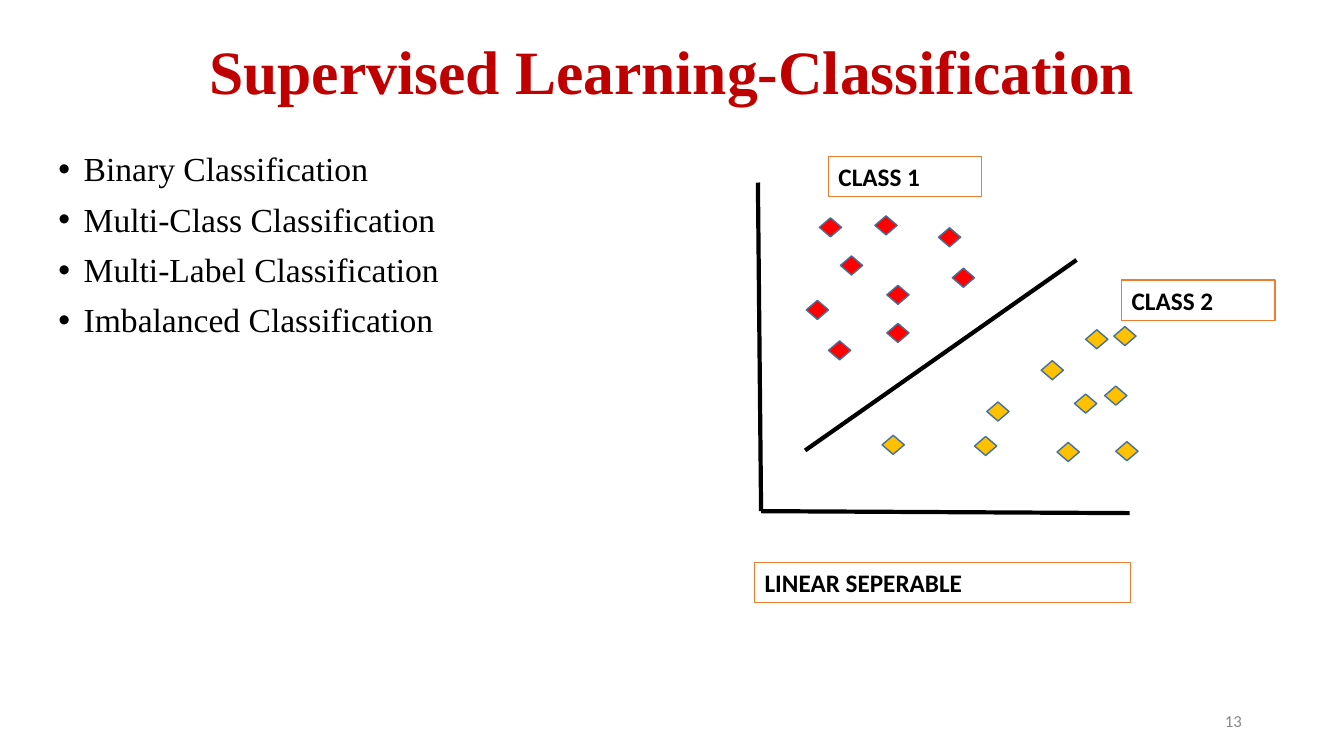
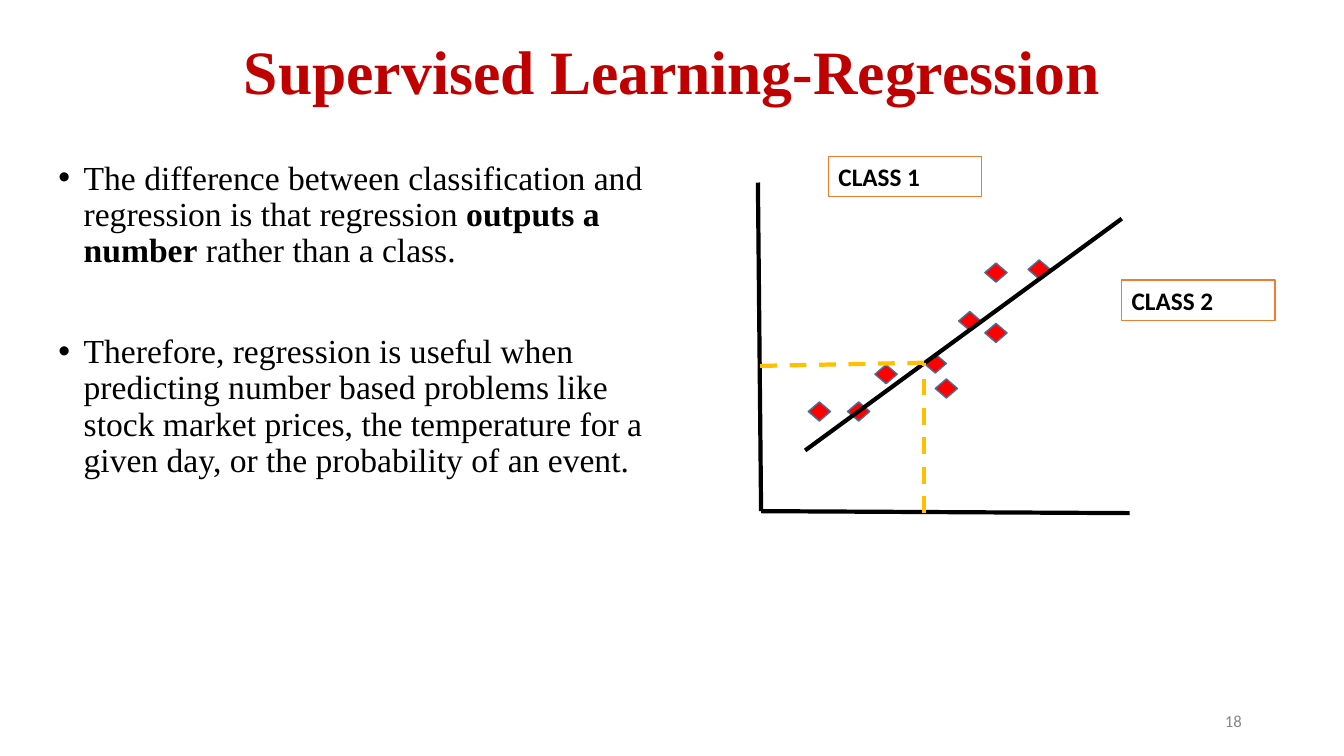
from lxml import etree
from pptx import Presentation
from pptx.dml.color import RGBColor
from pptx.enum.dml import MSO_LINE
from pptx.enum.shapes import MSO_CONNECTOR, MSO_SHAPE
from pptx.enum.text import MSO_ANCHOR, PP_ALIGN
from pptx.oxml.ns import qn
from pptx.util import Cm, Pt

HUES = {
    "title": "C00000", "ink": "000000", "page": "888888", "paper": "FFFFFF",
    "red": "FF0000", "gold": "FFC000", "rim": "42719B", "frame": "ED7D31",
}
SERIF, SANS = "Times New Roman", "Calibri"
LEFT, MID, RIGHT = PP_ALIGN.LEFT, PP_ALIGN.CENTER, PP_ALIGN.RIGHT
TOP, CENTER = MSO_ANCHOR.TOP, MSO_ANCHOR.MIDDLE
DASH = MSO_LINE.DASH
STRAIGHT = MSO_CONNECTOR.STRAIGHT
RECT, GEM = MSO_SHAPE.RECTANGLE, MSO_SHAPE.DIAMOND

TITLE_BOX = (2.34, 0.05, 29.21, 3.68)
PAGE_BOX = (23.93, 17.65, 7.62, 1.02)
GEM_SIZE = (0.56, 0.48)
INDENT = 0.64
AXES = [(19.1, 4.6, 19.18, 12.88), (28.47, 12.93, 19.18, 12.88)]
LABELS = [
    ("CLASS 1", (20.88, 3.94, 3.86, 1.02)),
    ("CLASS 2", (28.27, 7.06, 3.86, 1.02)),
]

SLIDES = [
    {
        "title": "Supervised Learning-Classification",
        "page": "13",
        "box": (1.22, 3.73, 12.85, 7.01),
        "gap": 10,
        "bullets": [
            [("Binary Classification", False)],
            [("Multi-Class Classification", False)],
            [("Multi-Label Classification", False)],
            [("Imbalanced Classification", False)],
        ],
        "points": {
            "red": [
                (20.65, 5.49), (21.18, 6.45), (22.05, 5.44),
                (24, 6.76), (22.35, 7.19), (20.32, 7.57),
                (23.65, 5.74), (22.35, 8.15), (20.88, 8.59),
            ],
            "gold": [
                (26.24, 9.09), (22.23, 10.97), (27.08, 9.93), (24.56, 11),
                (28.07, 8.23), (26.64, 11.15), (27.84, 9.73),
                (24.87, 10.13), (28.12, 11.13), (27.36, 8.31),
            ],
        },
        "fit": (27.13, 6.55, 20.29, 11.35),
        "guides": [],
        "labels": [("LINEAR SEPERABLE", (19.02, 14.17, 9.47, 1.02))],
    },
    {
        "title": "Supervised Learning-Regression",
        "page": "18",
        "box": (1.22, 3.94, 16.26, 15.04),
        "gap": 46,
        "bullets": [
            [
                ("The difference between classification and regression "
                 "is that regression ", False),
                ("outputs a number", True),
                (" rather than a class.", False),
            ],
            [
                ("Therefore, regression is useful when predicting number "
                 "based problems like stock market prices, the temperature "
                 "for a given day, or the probability of an event.", False),
            ],
        ],
        "points": {
            "red": [
                (24.82, 8.15), (25.91, 6.55), (24.16, 7.85),
                (23.57, 9.55), (22.05, 9.19), (24.82, 6.63),
                (23.29, 8.92), (21.36, 10.13), (20.37, 10.13),
            ],
        },
        "fit": (28.27, 5.51, 20.29, 11.35),
        "guides": [(23.29, 12.93, 23.29, 9.14), (23.29, 9.14, 19.15, 9.22)],
        "labels": [],
    },
]


def hue(name):
    return RGBColor.from_string(HUES[name])


def lengths(nums):
    return [Cm(num) for num in nums]


def add_run(para, text, font, size, color, bold=False):
    run = para.add_run()
    run.text = text
    run.font.name = font
    run.font.size = Pt(size)
    run.font.bold = bold
    run.font.color.rgb = hue(color)


def set_frame(shape, anchor):
    frame = shape.text_frame
    frame.word_wrap = True
    frame.vertical_anchor = anchor
    return frame


def add_text(slide, box, text, font, size, color, align, bold=False):
    frame = set_frame(slide.shapes.add_textbox(*lengths(box)), CENTER)
    para = frame.paragraphs[0]
    para.alignment = align
    para.line_spacing = 0.9 if bold else 1.0
    add_run(para, text, font, size, color, bold)


def set_bullet(para):
    props = para._p.get_or_add_pPr()
    props.set("marL", str(Cm(INDENT)))
    props.set("indent", str(-Cm(INDENT)))
    tint = etree.SubElement(props, qn("a:buClr"))
    etree.SubElement(tint, qn("a:srgbClr"), val=HUES["ink"])
    etree.SubElement(props, qn("a:buFont"), typeface="Arial")
    etree.SubElement(props, qn("a:buChar"), char="•")


def add_list(slide, box, items, gap):
    frame = set_frame(slide.shapes.add_textbox(*lengths(box)), TOP)
    for rank, runs in enumerate(items):
        para = frame.add_paragraph() if rank else frame.paragraphs[0]
        set_bullet(para)
        para.line_spacing = 0.9
        if rank:
            para.space_before = Pt(gap)
        for text, bold in runs:
            add_run(para, text, SERIF, 24, "ink", bold)


def add_line(slide, ends, color="ink", dash=None):
    line = slide.shapes.add_connector(STRAIGHT, *lengths(ends))
    line.line.color.rgb = hue(color)
    line.line.width = Pt(3)
    if dash:
        line.line.dash_style = dash
    etree.SubElement(line._element.spPr, qn("a:effectLst"))


def add_form(slide, kind, box, fill, rim):
    form = slide.shapes.add_shape(kind, *lengths(box))
    form.shadow.inherit = False
    form.fill.solid()
    form.fill.fore_color.rgb = hue(fill)
    form.line.color.rgb = hue(rim)
    form.line.width = Pt(1)
    return form


def add_label(slide, text, box):
    form = add_form(slide, RECT, box, "paper", "frame")
    para = set_frame(form, TOP).paragraphs[0]
    para.alignment = LEFT
    add_run(para, text, SANS, 18, "ink", True)


def add_plot(slide, data):
    for ends in AXES:
        add_line(slide, ends)
    for color, spots in data["points"].items():
        for spot in spots:
            add_form(slide, GEM, spot + GEM_SIZE, color, "rim")
    add_line(slide, data["fit"])
    for text, box in data["labels"] + LABELS:
        add_label(slide, text, box)
    for ends in data["guides"]:
        add_line(slide, ends, "gold", DASH)


def main():
    deck = Presentation()
    deck.slide_width, deck.slide_height = Cm(33.87), Cm(19.05)
    for data in SLIDES:
        slide = deck.slides.add_slide(deck.slide_layouts[6])
        add_text(slide, TITLE_BOX, data["title"], SERIF, 44, "title", MID, True)
        add_list(slide, data["box"], data["bullets"], data["gap"])
        add_text(slide, PAGE_BOX, data["page"], SANS, 12, "page", RIGHT)
        add_plot(slide, data)
    deck.save("out.pptx")


if __name__ == "__main__":
    main()
